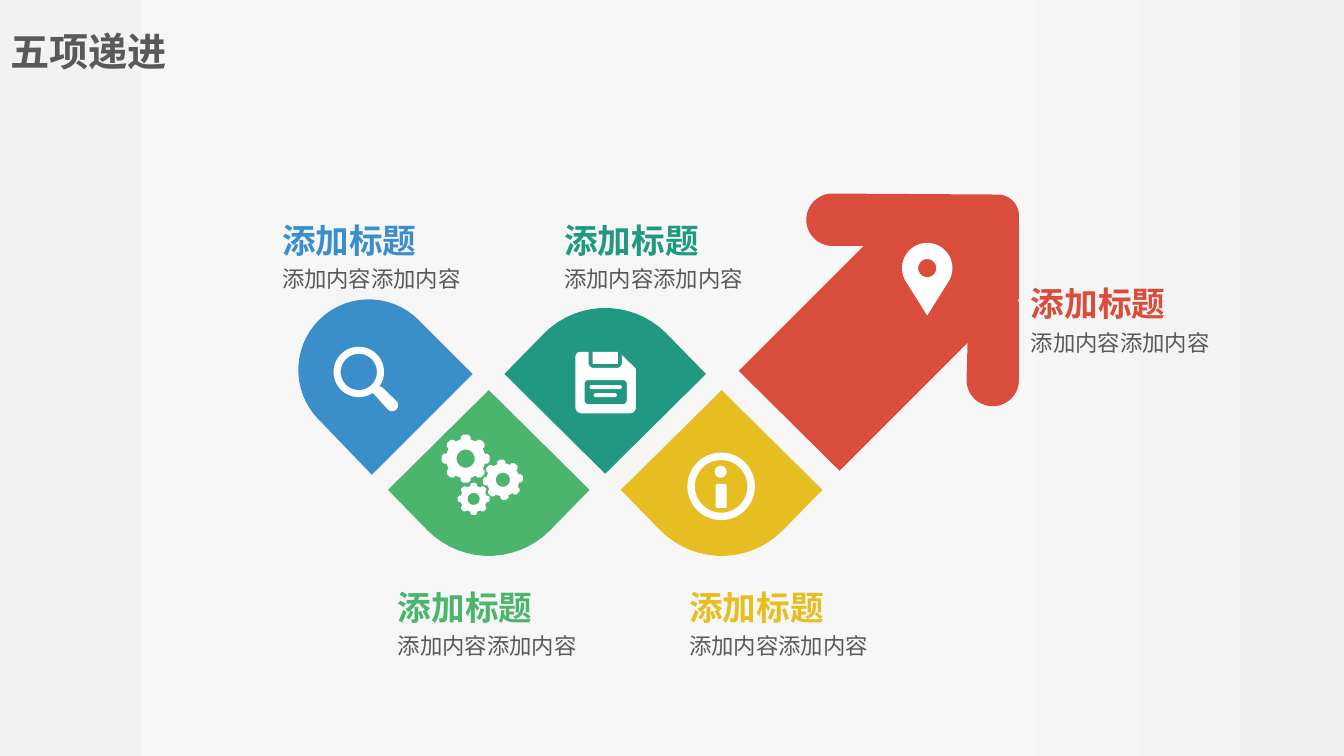
from math import cos, radians, sin

from lxml.etree import SubElement
from pptx import Presentation
from pptx.dml.color import RGBColor
from pptx.enum.shapes import MSO_SHAPE
from pptx.enum.text import MSO_ANCHOR, MSO_AUTO_SIZE, PP_ALIGN
from pptx.oxml.ns import qn
from pptx.util import Cm, Pt

COLORS = {
    "blue": "3A8FCB", "green": "4BB56D", "teal": "219980",
    "yellow": "E7BE22", "red": "DA4D3C", "white": "FFFFFF", "gray": "595959",
}
BACKGROUND_STOPS = {0: "F2F2F2", 21: "F6F6F6", 48: "F7F7F7", 77: "F5F5F5", 100: "F0F0F0"}
LABELS = [
    ("blue", 2.7, 2.05),
    ("green", 3.85, 5.69),
    ("teal", 5.5, 2.05),
    ("yellow", 6.74, 5.69),
    ("red", 10.13, 2.68),
]
FONT = "Calibri"


def grid(units):
    """Turn layout units of 2.54 cm into a length."""
    return Cm(units * 2.54)


def arc(x, y, radius, start=0, end=360):
    """Points on an arc, in degrees clockwise from the right."""
    steps = max(6, abs(end - start) // 6)
    angles = [radians(start + (end - start) * i / steps) for i in range(steps + 1)]
    return [(x + radius * cos(a), y + radius * sin(a)) for a in angles]


def paint(shape, color):
    shape.shadow.inherit = False
    shape.fill.solid()
    shape.fill.fore_color.rgb = RGBColor.from_string(COLORS[color])
    shape.line.fill.background()


def add_outline(shapes, color, *contours):
    """Filled outline; contours after the first cut holes."""
    builder = None
    for contour in contours:
        points = [(grid(x), grid(y)) for x, y in contour]
        if builder is None:
            builder = shapes.build_freeform(*points[0])
        else:
            builder.move_to(*points[0])
        builder.add_line_segments(points[1:], close=True)
    paint(builder.convert_to_shape(), color)


def add_preset(shapes, kind, x, y, width, height, roundness=None):
    shape = shapes.add_shape(kind, grid(x), grid(y), grid(width), grid(height))
    if roundness is not None:
        shape.adjustments[0] = roundness
    paint(shape, "white")


def add_run(paragraph, text, size, color, bold):
    run = paragraph.add_run()
    run.text = text
    run.font.name = FONT
    run.font.size = Pt(size)
    run.font.bold = bold
    run.font.color.rgb = RGBColor.from_string(COLORS[color])


def add_label(slide, color, x, y):
    label = slide.shapes.add_textbox(grid(x), grid(y), grid(3.12), grid(0.91))
    frame = label.text_frame
    frame.word_wrap = True
    frame.auto_size = MSO_AUTO_SIZE.SHAPE_TO_FIT_TEXT
    heading, detail = frame.paragraphs[0], frame.add_paragraph()
    heading.line_spacing = detail.line_spacing = 1.2
    add_run(heading, "添加标题", 24, color, True)
    add_run(detail, "添加内容添加内容", 16, "gray", False)


def set_title(slide):
    title = slide.shapes.title
    title.left, title.top = grid(0), grid(0.22)
    title.width, title.height = grid(1.77), grid(0.57)
    frame = title.text_frame
    frame.word_wrap = False
    frame.auto_size = MSO_AUTO_SIZE.SHAPE_TO_FIT_TEXT
    frame.vertical_anchor = MSO_ANCHOR.TOP
    frame.paragraphs[0].alignment = PP_ALIGN.LEFT
    add_run(frame.paragraphs[0], "五项递进", 28, "gray", True)


def set_background(slide):
    fill = slide.background.fill
    fill.gradient()
    fill.gradient_angle = 0
    stops = slide.background._cSld.find(".//" + qn("a:gsLst"))
    for stop in list(stops):
        stops.remove(stop)
    for position, color in BACKGROUND_STOPS.items():
        stop = SubElement(stops, qn("a:gs"), pos=str(position * 1000))
        SubElement(stop, qn("a:srgbClr"), val=color)


def add_petal(slide, color, x, y, direction):
    """Corner at (x, y), rounded side below (1) or above (-1)."""
    bow = arc(x, y + 0.79 * direction, 0.855, 45 * direction, 135 * direction)
    side = y + 0.99 * direction
    add_outline(slide.shapes, color, [(x, y), (x + 1, side), *bow, (x - 1, side)])


def add_drop(slide):
    add_outline(slide.shapes, "blue",
                [*arc(3.66, 3.67, 0.7, 135, 315), (4.69, 3.71), (3.69, 4.71)])


def add_big_arrow(slide):
    add_outline(slide.shapes, "red", [
        (7.33, 3.68), (8.57, 2.44), *arc(8.26, 2.18, 0.26, 90, 270),
        *arc(9.9, 2.14, 0.21, 270, 360), (10.11, 2.96), (10.1, 2.98), (10.11, 3),
        *arc(9.85, 3.77, 0.26, 0, 180), (9.6, 3.4), (8.33, 4.67)])


def add_magnifier(slide):
    x, y = 3.56, 3.69
    handle = [(3.79, 3.84), *arc(3.89, 4.02, 0.06, -45, 135), (3.72, 3.92)]
    add_outline(slide.shapes, "white",
                [*arc(x, y, 0.25, 56, 396), *handle], arc(x, y, 0.18))


def add_gear(shapes, x, y, radius, hole, tilt=0):
    tooth = [(-14, 0.82), (-13, 0.92), (-6, 1), (6, 1), (13, 0.92), (14, 0.82)]
    rim = []
    for turn in range(tilt, tilt + 360, 45):
        for offset, share in tooth:
            angle = radians(turn + offset)
            rim.append((x + radius * share * cos(angle), y + radius * share * sin(angle)))
    add_outline(shapes, "white", rim, arc(x, y, hole))


def add_gears(slide):
    gears = slide.shapes.add_group_shape().shapes
    add_gear(gears, 4.62, 4.55, 0.24, 0.09)
    add_gear(gears, 4.99, 4.76, 0.2, 0.07, -5)
    add_gear(gears, 4.7, 4.95, 0.16, 0.06)


def add_floppy(slide):
    floppy = slide.shapes.add_group_shape().shapes
    case = [
        *arc(5.76, 3.54, 0.05, 180, 270), (5.84, 3.49),
        *arc(5.89, 3.6, 0.05, 180, 90), *arc(6.12, 3.6, 0.05, 90, 0),
        (6.17, 3.52), (6.31, 3.66),
        *arc(6.25, 4.04, 0.06, 0, 90), *arc(5.77, 4.04, 0.06, 90, 180)]
    window = [
        *arc(5.84, 3.81, 0.04, 180, 270), *arc(6.18, 3.81, 0.04, 270, 360),
        *arc(6.18, 3.97, 0.04, 0, 90), *arc(5.84, 3.97, 0.04, 90, 180)]
    add_outline(floppy, "white", case, window)
    add_preset(floppy, MSO_SHAPE.RECTANGLE, 5.88, 3.49, 0.25, 0.12)
    add_preset(floppy, MSO_SHAPE.ROUNDED_RECTANGLE, 5.85, 3.82, 0.32, 0.04, 0.5)
    add_preset(floppy, MSO_SHAPE.ROUNDED_RECTANGLE, 5.89, 3.9, 0.23, 0.04, 0.5)


def add_info(slide):
    info = slide.shapes.add_group_shape().shapes
    add_preset(info, MSO_SHAPE.DONUT, 6.82, 4.49, 0.67, 0.67, 0.11)
    add_preset(info, MSO_SHAPE.ROUNDED_RECTANGLE, 7.1, 4.8, 0.11, 0.24, 0.17)
    add_preset(info, MSO_SHAPE.OVAL, 7.09, 4.62, 0.12, 0.12)


def add_pin(slide):
    add_outline(slide.shapes, "white",
                [*arc(9.2, 2.66, 0.25, 150, 390), (9.2, 3.13)], arc(9.2, 2.66, 0.09))


def main():
    deck = Presentation()
    deck.slide_width, deck.slide_height = Cm(33.87), Cm(19.05)
    slide = deck.slides.add_slide(deck.slide_layouts[5])
    set_background(slide)
    set_title(slide)

    add_drop(slide)
    for step, color in enumerate(("green", "teal", "yellow")):
        is_upper = step % 2
        add_petal(slide, color, 4.85 + 1.155 * step,
                  4.7 if is_upper else 3.87, -1 if is_upper else 1)
    add_big_arrow(slide)

    for color, x, y in LABELS:
        add_label(slide, color, x, y)
    for add_icon in (add_magnifier, add_gears, add_floppy, add_info, add_pin):
        add_icon(slide)
    deck.save("out.pptx")


if __name__ == "__main__":
    main()
